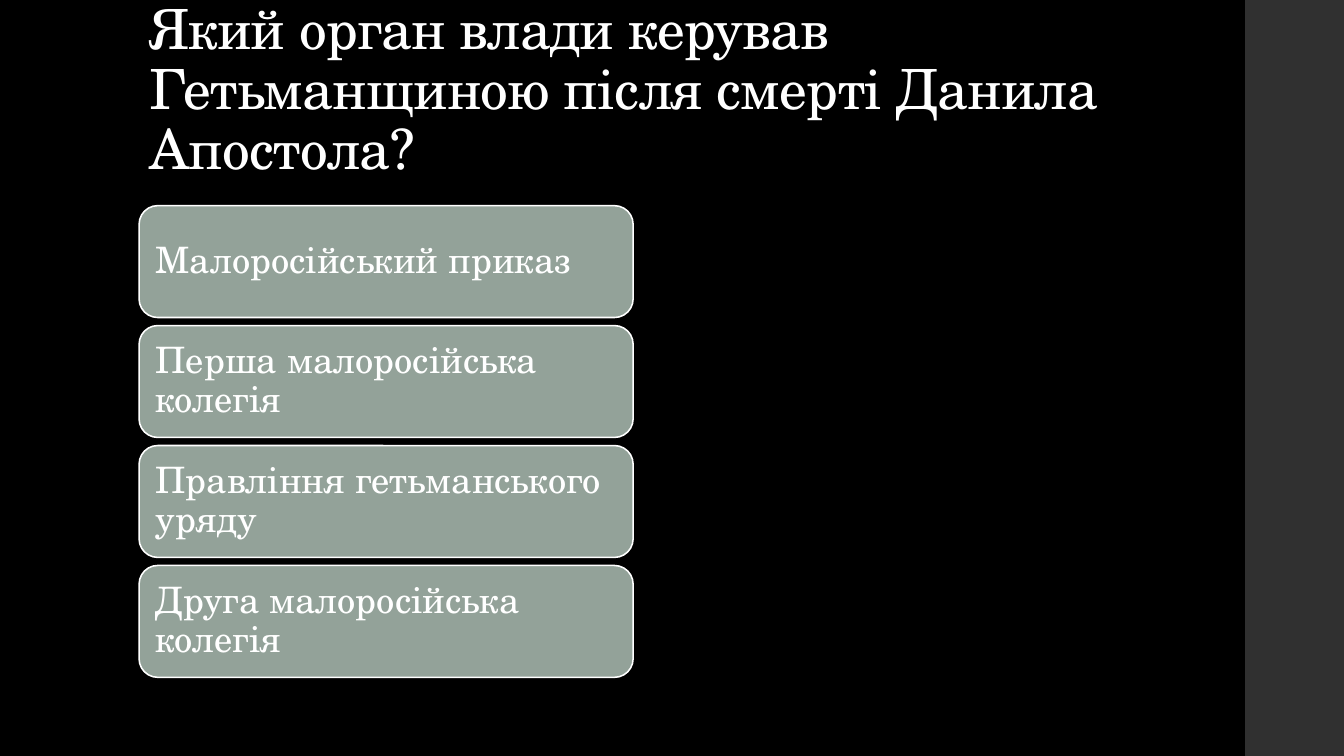
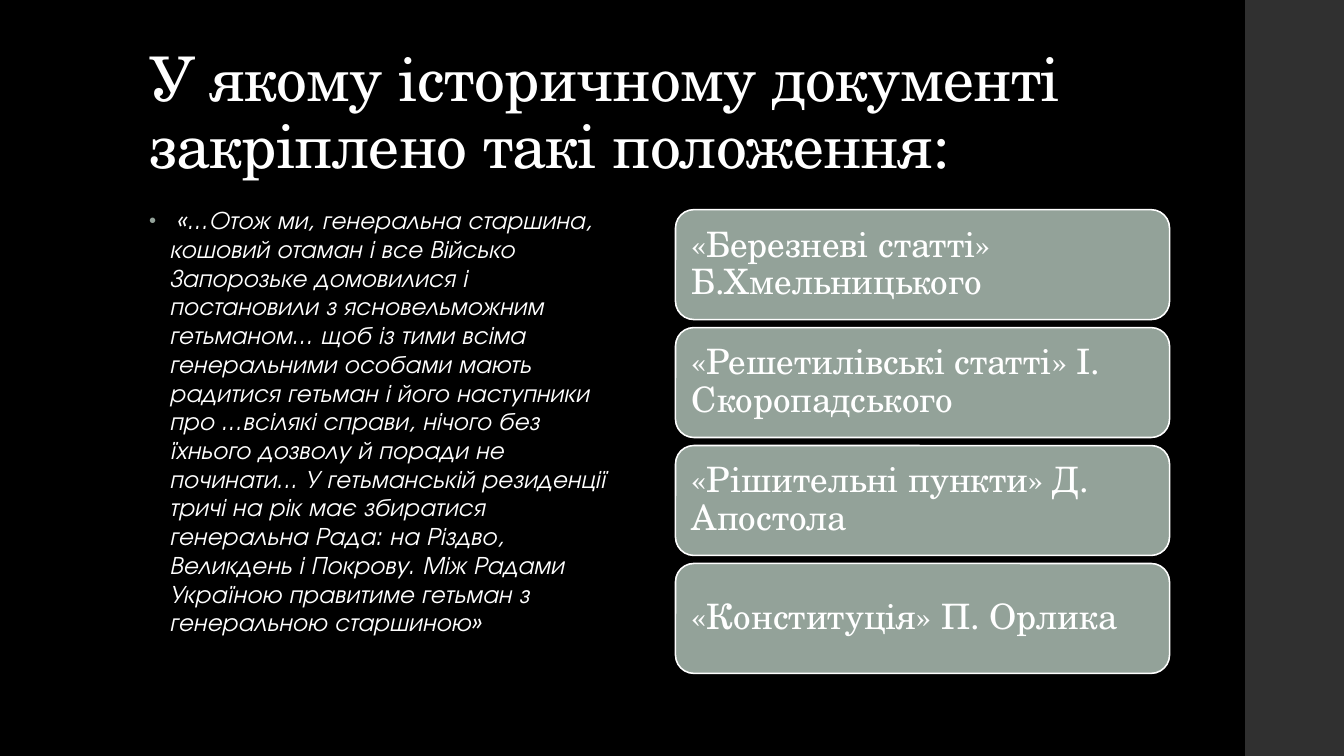
"""Build two quiz slides on the history of the Hetmanate."""
from lxml.etree import SubElement
from pptx import Presentation
from pptx.dml.color import RGBColor
from pptx.enum.shapes import MSO_SHAPE
from pptx.enum.text import MSO_ANCHOR, MSO_AUTO_SIZE, PP_ALIGN
from pptx.oxml.ns import qn
from pptx.util import Inches, Pt

HUES = {"back": "000000", "band": "303030", "card": "93A299", "text": "FFFFFF"}
SERIF, SANS = "TeX Gyre Schola", "TeX Gyre Adventor"
WIDE, HIGH = 13.33, 7.5
LEFT, COL, GAP = 1.38, 4.9, 0.42
TOP, DEEP = 2, 4.76
CARD_GAP = 0.08

FRAME = {"word_wrap": True, "auto_size": MSO_AUTO_SIZE.NONE}
PARA = {"alignment": PP_ALIGN.LEFT, "line_spacing": 0.9, "space_before": Pt(0)}
SIDES = ("left", "top", "right", "bottom")
INSET = {f"margin_{side}": Inches(0.11) for side in SIDES}

QUOTE = (
    "«...Отож ми, генеральна старшина, кошовий отаман і все Військо Запорозьке "
    "домовилися і постановили з ясновельможним гетьманом... щоб із тими всіма "
    "генеральними особами мають радитися гетьман і його наступники про "
    "...всілякі справи, нічого без їхнього дозволу й поради не починати... "
    "У гетьманській резиденції тричі на рік має збиратися генеральна Рада: "
    "на Різдво, Великдень і Покрову. Між Радами Україною правитиме гетьман "
    "з генеральною старшиною»"
)


def put(item, vals):
    for key, val in vals.items():
        setattr(item, key, val)


def hue(name):
    return RGBColor.from_string(HUES[name])


def place(shape, left, top, width, height):
    spots = zip(("left", "top", "width", "height"), (left, top, width, height))
    put(shape, {key: Inches(val) for key, val in spots})


def column(num):
    return LEFT + num * (COL + GAP)


def paint(shape, name):
    shape.shadow.inherit = False
    shape.fill.solid()
    shape.fill.fore_color.rgb = hue(name)


def write(shape, runs, size, font, frame, para=None, track=0):
    put(shape.text_frame, FRAME | frame)
    line = shape.text_frame.paragraphs[0]
    put(line, PARA | (para or {}))
    for words, slant in runs:
        run = line.add_run()
        run.text = words
        put(run.font, {"name": font, "size": Pt(size), "italic": slant})
        run.font.color.rgb = hue("text")
    for props in shape.element.iter(qn("a:rPr")):
        props.set("spc", str(track))


def add_band(deck, slide):
    band = slide.shapes.add_shape(MSO_SHAPE.RECTANGLE, 0, 0, 0, 0)
    place(band, 12.35, 0, WIDE - 12.35, HIGH)
    paint(band, "band")
    band.line.fill.background()
    deck.slide_master.element.cSld.spTree.insert(2, band.element)


def add_title(slide, words, size):
    title = slide.shapes.title
    place(title, LEFT, 0.4, 10.6, 1.45)
    write(title, [(words, False)], size, SERIF,
          {"vertical_anchor": MSO_ANCHOR.BOTTOM}, track=-50)


def add_quote(slide, words):
    body = slide.placeholders[1]
    place(body, column(0), TOP, COL, DEEP)
    props = next(body.element.iter(qn("a:p"))).get_or_add_pPr()
    for key, val in {"marL": 0.2, "indent": -0.2}.items():
        props.set(key, str(Inches(val)))
    tint = SubElement(props, qn("a:buClr"))
    SubElement(tint, qn("a:srgbClr")).set("val", HUES["card"])
    SubElement(props, qn("a:buSzPct")).set("val", "80000")
    SubElement(props, qn("a:buFont")).set("typeface", "Arial")
    SubElement(props, qn("a:buChar")).set("char", "•")
    write(body, [(" ", False), (words, True)], 18, SANS,
          {"vertical_anchor": MSO_ANCHOR.TOP},
          {"line_spacing": 0.95, "space_after": Pt(2)}, 10)


def add_cards(slide, col, labels, height, size):
    step = height + CARD_GAP
    top = TOP + (DEEP - len(labels) * step + CARD_GAP) / 2
    for row, label in enumerate(labels):
        card = slide.shapes.add_shape(MSO_SHAPE.ROUNDED_RECTANGLE, 0, 0, 0, 0)
        place(card, column(col), top + row * step, COL, height)
        paint(card, "card")
        card.line.color.rgb = hue("text")
        card.line.width = Pt(1.1)
        write(card, [(label, False)], size, SERIF,
              INSET | {"vertical_anchor": MSO_ANCHOR.MIDDLE})


def main():
    deck = Presentation()
    put(deck, {"slide_width": Inches(WIDE), "slide_height": Inches(HIGH)})
    fill = deck.slide_master.background.fill
    fill.solid()
    fill.fore_color.rgb = hue("back")

    first = deck.slides.add_slide(deck.slide_layouts.get_by_name("Title Only"))
    add_band(deck, first)
    add_title(first, "Який орган влади керував Гетьманщиною після смерті "
              "Данила Апостола?", 39.6)
    add_cards(first, 0, [
        "Малоросійський приказ",
        "Перша малоросійська колегія",
        "Правління гетьманського уряду",
        "Друга малоросійська колегія",
    ], 1.11, 26)

    layout = deck.slide_layouts.get_by_name("Title and Content")
    second = deck.slides.add_slide(layout)
    add_title(second, "У якому історичному документі закріплено такі "
              "положення:", 44)
    add_quote(second, QUOTE)
    add_cards(second, 1, [
        "«Березневі статті» Б.Хмельницького",
        "«Решетилівські статті» І. Скоропадського",
        "«Рішительні пункти» Д. Апостола",
        "«Конституція» П. Орлика",
    ], 1.09, 25)
    deck.save("out.pptx")


if __name__ == "__main__":
    main()
